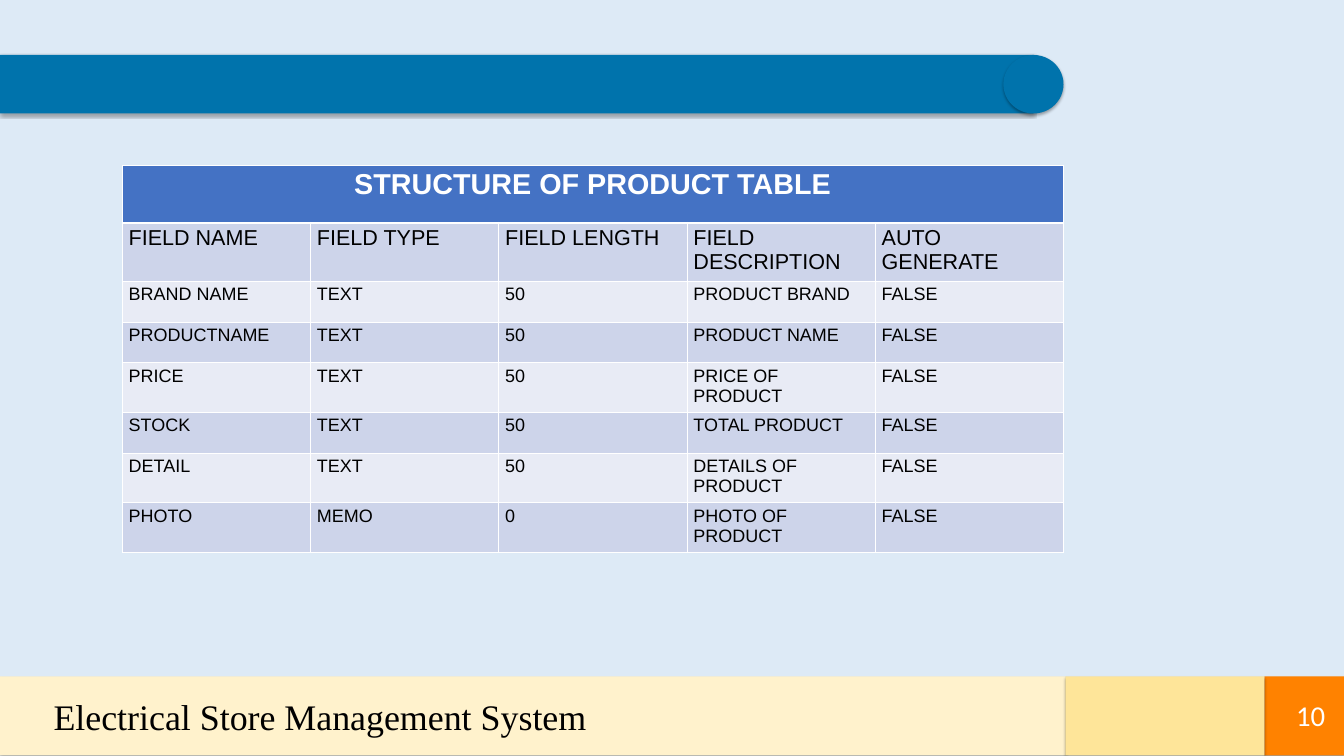
from lxml import etree
from pptx import Presentation
from pptx.dml.color import RGBColor
from pptx.enum.shapes import MSO_SHAPE
from pptx.enum.text import MSO_ANCHOR, MSO_AUTO_SIZE, PP_ALIGN
from pptx.oxml import parse_xml
from pptx.oxml.ns import qn
from pptx.util import Pt

NS = 'xmlns:a="http://schemas.openxmlformats.org/drawingml/2006/main"'


def paint(fill, color):
    fill.solid()
    fill.fore_color.rgb = RGBColor.from_string(color)


def write(frame, text, size, font, color, align=PP_ALIGN.LEFT):
    paragraph = frame.paragraphs[0]
    paragraph.text = text
    paragraph.alignment = align
    paragraph.font.size = Pt(size)
    paragraph.font.name = font
    paint(paragraph.font.fill, color)
    return paragraph


presentation = Presentation()
presentation.slide_width = Pt(1496.88)
presentation.slide_height = Pt(841.68)
slide = presentation.slides.add_slide(presentation.slide_layouts[6])
paint(slide.background.fill, "DDEAF6")

bands = [
    (MSO_SHAPE.RECTANGLE, 0, 753.1, 1186.6, 87.9, "FFF2CC"),
    (MSO_SHAPE.RECTANGLE, 1408.3, 753.1, 88.58, 87.9, "FF8200"),
    (MSO_SHAPE.RECTANGLE, 1186.6, 753.1, 221.7, 87.9, "FEE599"),
    (MSO_SHAPE.RECTANGLE, 0, 61.2, 1150.9, 65.2, "0073AC"),
    (MSO_SHAPE.OVAL, 1117.5, 61.2, 67, 65.2, "0073AC"),
]
for outline, left, top, width, height, color in bands:
    band = slide.shapes.add_shape(outline, Pt(left), Pt(top), Pt(width), Pt(height))
    paint(band.fill, color)
    band.line.fill.background()
    band.shadow.inherit = False
    effects = band.element.spPr.find(qn("a:effectLst"))
    effects.append(parse_xml(
        f'<a:outerShdw {NS} blurRad="{Pt(3.5)}" dist="{Pt(2.2)}" dir="5400000" '
        'algn="ctr" rotWithShape="0"><a:srgbClr val="000000">'
        '<a:alpha val="32000"/></a:srgbClr></a:outerShdw>'))

system_name = slide.shapes.add_textbox(Pt(52.6), Pt(769.7), Pt(887.8), Pt(55.4)).text_frame
system_name.word_wrap = True
system_name.auto_size = MSO_AUTO_SIZE.SHAPE_TO_FIT_TEXT
write(system_name, "Electrical Store Management System", 40, "Times New Roman", "000000")

rows = [
    ["STRUCTURE OF PRODUCT TABLE", "", "", "", ""],
    ["FIELD NAME", "FIELD TYPE", "FIELD LENGTH", "FIELD DESCRIPTION", "AUTO GENERATE"],
    ["BRAND NAME", "TEXT", "50", "PRODUCT BRAND", "FALSE"],
    ["PRODUCTNAME", "TEXT", "50", "PRODUCT NAME", "FALSE"],
    ["PRICE", "TEXT", "50", "PRICE OF PRODUCT", "FALSE"],
    ["STOCK", "TEXT", "50", "TOTAL PRODUCT", "FALSE"],
    ["DETAIL", "TEXT", "50", "DETAILS OF PRODUCT", "FALSE"],
    ["PHOTO", "MEMO", "0", "PHOTO OF PRODUCT", "FALSE"],
]
fields = slide.shapes.add_table(
    len(rows), 5, Pt(136.1), Pt(184.3), Pt(1048.5), Pt(381.9)).table
for column in fields.columns:
    column.width = Pt(209.7)
fields.cell(0, 0).merge(fields.cell(0, 4))

for r, values in enumerate(rows):
    fields.rows[r].height = Pt(45.4 if r else 64.1)
    for c, value in enumerate(values):
        cell = fields.cell(r, c)
        properties = cell._tc.get_or_add_tcPr()
        for side in "LRTB":
            heavy = (r, side) in [(0, "B"), (1, "T")]
            border = etree.SubElement(properties, qn(f"a:ln{side}"), w=str(Pt(3 if heavy else 1)))
            solid = etree.SubElement(border, qn("a:solidFill"))
            etree.SubElement(solid, qn("a:srgbClr"), val="FFFFFF")
        if r == 0:
            paint(cell.fill, "4472C4")
            if c == 0:
                write(cell.text_frame, value, 32, "Arial", "FFFFFF", PP_ALIGN.CENTER).font.bold = True
        else:
            paint(cell.fill, "CDD4EA" if r % 2 else "E8EBF5")
            write(cell.text_frame, value, 24 if r == 1 else 20, "Arial", "000000").font.bold = False

page_number = slide.shapes.add_textbox(Pt(1426.3), Pt(780.5), Pt(56.9), Pt(30.2)).text_frame
page_number.word_wrap = True
page_number.vertical_anchor = MSO_ANCHOR.MIDDLE
write(page_number, "10", 32, "Calibri", "FFFFFF", PP_ALIGN.RIGHT)

presentation.save("out.pptx")
